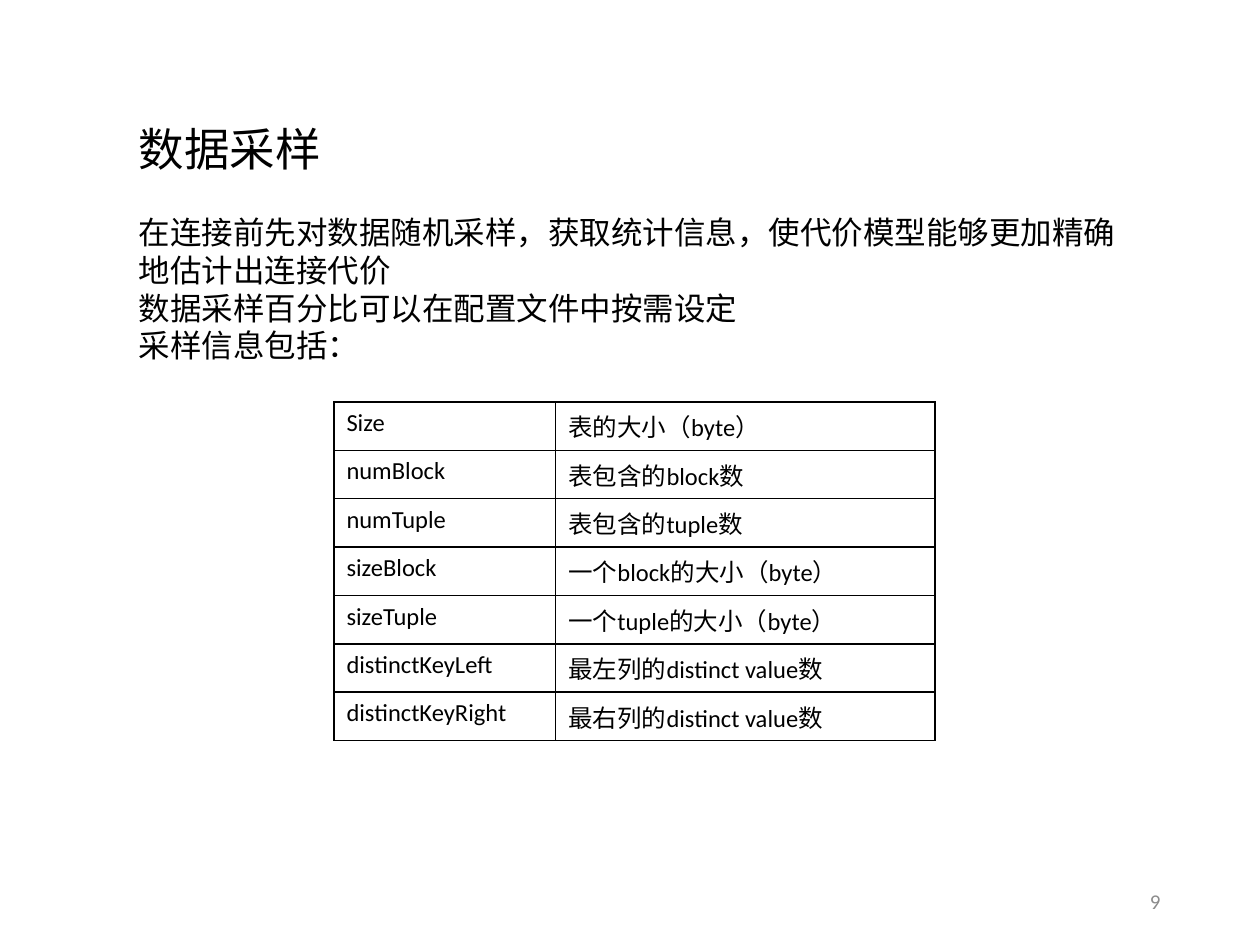
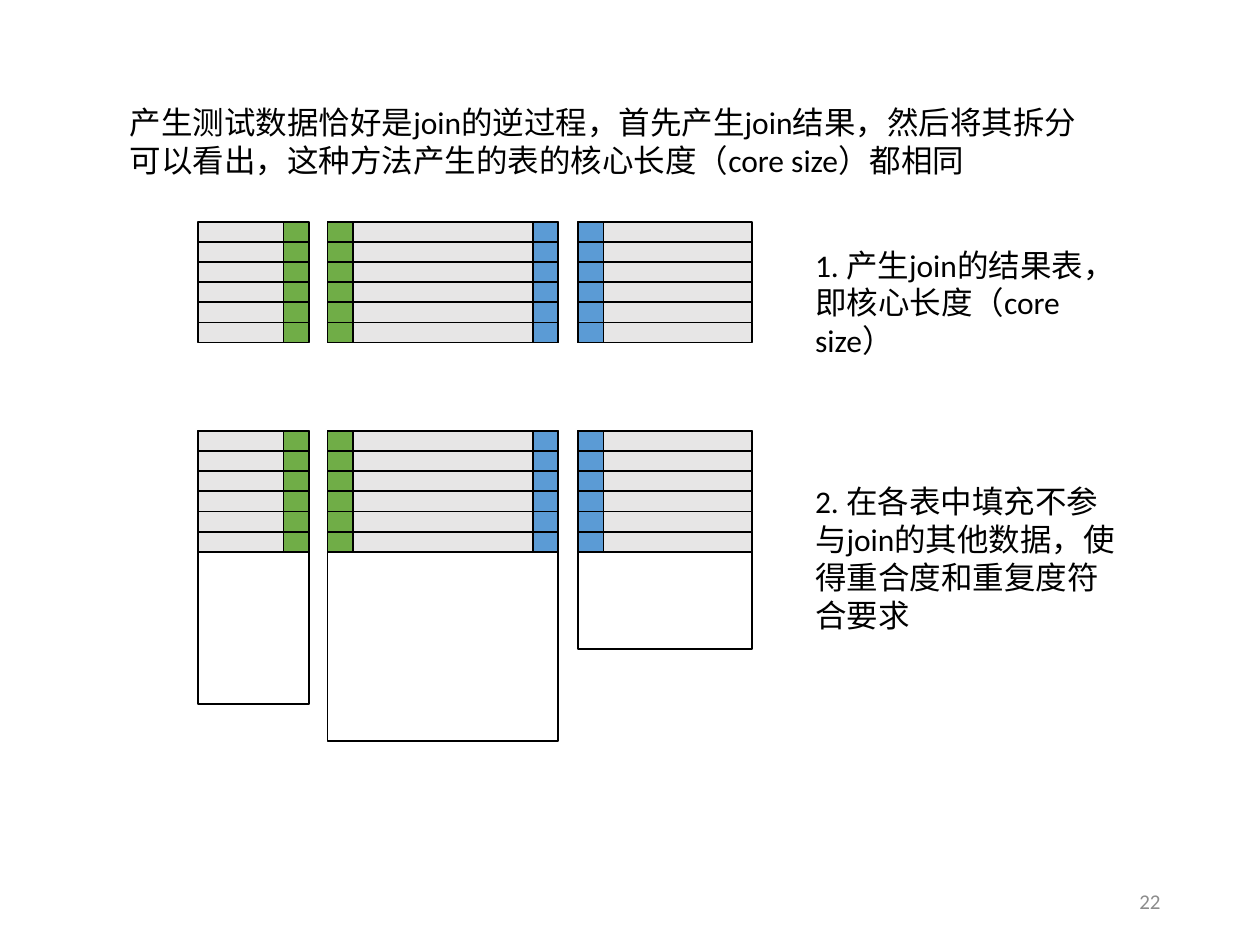
from dataclasses import dataclass
from typing import NamedTuple, Optional

from lxml.etree import SubElement
from pptx import Presentation
from pptx.dml.color import RGBColor as RGB
from pptx.enum.shapes import MSO_SHAPE as Shape
from pptx.enum.text import MSO_ANCHOR as Anchor, MSO_AUTO_SIZE as Fit, PP_ALIGN as Align
from pptx.oxml.ns import qn
from pptx.util import Inches, Pt

WIDE, HIGH = Inches(10), Inches(7.5)
COL, ROW = WIDE / 100, HIGH / 75


@dataclass(frozen=True)
class Theme:
    font: str = "Calibri"
    head: str = "Noto Sans CJK SC"
    ink: str = "000000"
    paper: str = "FFFFFF"
    data: str = "E7E6E6"
    green: str = "70AD47"
    blue: str = "5B9BD5"
    pale: str = "8C8C8C"
    title: int = 26
    body: int = 18
    cell: int = 14
    foot: int = 12
    line: int = 1


LOOK = Theme()


class Box(NamedTuple):
    """A frame in grid columns and rows."""
    x: float
    y: float
    w: float
    h: float

    def emu(self) -> tuple:
        return (round(self.x * COL), round(self.y * ROW),
                round(self.w * COL), round(self.h * ROW))


class Table(NamedTuple):
    """A joined table: its place, key colours and height with filler."""
    x: float
    w: float
    left: Optional[str]
    right: Optional[str]
    full: float


class Note(NamedTuple):
    box: Box
    text: str


FOOT = Box(70.6, 69.5, 22.5, 4)
KEY, STEP, COUNT = 2, 1.6, 6
TABLES = (
    Table(15.7, 8.8, None, LOOK.green, 21.7),
    Table(26, 18.3, LOOK.green, LOOK.blue, 24.6),
    Table(45.9, 13.8, LOOK.blue, None, 17.3),
)
NOTES = (
    Note(Box(63.7, 19, 26.1, 7.1), "1. 产生join的结果表，即核心长度（core size）"),
    Note(Box(63.7, 37.8, 26.1, 13.1),
         "2. 在各表中填充不参与join的其他数据，使得重合度和重复度符合要求"),
)
STATS = (
    ("Size", "表的大小（byte）"),
    ("numBlock", "表包含的block数"),
    ("numTuple", "表包含的tuple数"),
    ("sizeBlock", "一个block的大小（byte）"),
    ("sizeTuple", "一个tuple的大小（byte）"),
    ("distinctKeyLeft", "最左列的distinct value数"),
    ("distinctKeyRight", "最右列的distinct value数"),
)


def style(para, size: int, face: str = LOOK.font, tint: str = LOOK.ink,
          align=Align.LEFT) -> None:
    para.alignment = align
    para.font.size, para.font.name = Pt(size), face
    para.font.color.rgb = RGB.from_string(tint)


def write(shape, lines: tuple, size: int, anchor=Anchor.TOP, **look) -> None:
    frame = shape.text_frame
    frame.text = "\n".join(lines)
    frame.word_wrap, frame.auto_size = True, Fit.NONE
    frame.vertical_anchor = anchor
    for para in frame.paragraphs:
        style(para, size, **look)


def place(shape, box: Box) -> None:
    shape.left, shape.top, shape.width, shape.height = box.emu()


def fill_body(slide, box: Box, lines: tuple) -> None:
    """Fill the body placeholder with plain lines, without bullets."""
    body = slide.placeholders[1]
    place(body, box)
    write(body, lines, LOOK.body)
    for para in body.text_frame.paragraphs:
        para.space_before = Pt(0)
        props = para._p.get_or_add_pPr()
        props.set("marL", "0")
        props.set("indent", "0")
        props.insert_element_before(
            props.makeelement(qn("a:buNone")), "a:tabLst", "a:defRPr", "a:extLst")


def add_text(slide, box: Box, text: str, size: int, **look) -> None:
    write(slide.shapes.add_textbox(*box.emu()), (text,), size, **look)


def add_page(deck, number: int):
    slide = deck.slides.add_slide(deck.slide_layouts[1])
    add_text(slide, FOOT, str(number), LOOK.foot, anchor=Anchor.MIDDLE,
             tint=LOOK.pale, align=Align.RIGHT)
    return slide


def edge(cell) -> None:
    """Draw the four borders of a cell."""
    props = cell._tc.get_or_add_tcPr()
    for rank, side in enumerate(("lnL", "lnR", "lnT", "lnB")):
        line = props.makeelement(qn(f"a:{side}"), {"w": str(Pt(LOOK.line))})
        solid = SubElement(line, qn("a:solidFill"))
        SubElement(solid, qn("a:srgbClr"), val=LOOK.ink)
        props.insert(rank, line)


def add_stats(slide, box: Box, cols: tuple) -> None:
    grid = slide.shapes.add_table(len(STATS), len(cols), *box.emu()).table
    grid.first_row = grid.horz_banding = False
    for col, width in zip(grid.columns, cols):
        col.width = round(width * COL)
    for row, texts in zip(grid.rows, STATS):
        for cell, text in zip(row.cells, texts):
            cell.text = text
            cell.fill.background()
            style(cell.text_frame.paragraphs[0], LOOK.cell)
            edge(cell)


def add_rect(group, box: Box, tint: str) -> None:
    rect = group.shapes.add_shape(Shape.RECTANGLE, *box.emu())
    rect.shadow.inherit = False
    rect.fill.solid()
    rect.fill.fore_color.rgb = RGB.from_string(tint)
    rect.line.color.rgb = RGB.from_string(LOOK.ink)
    rect.line.width = Pt(LOOK.line)


def add_join(slide, top: float, padded: bool) -> None:
    """Draw the core rows of all tables, with filler below if padded."""
    group = slide.shapes.add_group_shape()
    for tab in TABLES:
        if padded:
            add_rect(group, Box(tab.x, top, tab.w, tab.full), LOOK.paper)
        for row in range(COUNT):
            y = top + row * STEP
            add_rect(group, Box(tab.x, y, tab.w, STEP), LOOK.data)
            for x, tint in ((tab.x, tab.left), (tab.x + tab.w - KEY, tab.right)):
                if tint:
                    add_rect(group, Box(x, y, KEY, STEP), tint)


def add_sample(deck) -> None:
    slide = add_page(deck, 9)
    title = slide.shapes.title
    place(title, Box(10, 9.1, 81.3, 5.5))
    write(title, ("数据采样",), LOOK.title, face=LOOK.head)
    fill_body(slide, Box(10, 16.4, 81.3, 13.2), (
        "在连接前先对数据随机采样，获取统计信息，使代价模型能够更加精确地估计出连接代价",
        "数据采样百分比可以在配置文件中按需设定",
        "采样信息包括：",
    ))
    add_stats(slide, Box(26.5, 31.9, 47.7, 24.6), (17.6, 30.1))


def add_tests(deck) -> None:
    slide = add_page(deck, 22)
    title = slide.shapes.title.element
    title.getparent().remove(title)
    fill_body(slide, Box(9.3, 7.7, 82.4, 7.1), (
        "产生测试数据恰好是join的逆过程，首先产生join结果，然后将其拆分",
        "可以看出，这种方法产生的表的核心长度（core size）都相同",
    ))
    add_join(slide, 17.6, padded=False)
    add_join(slide, 34.2, padded=True)
    for note in NOTES:
        add_text(slide, note.box, note.text, LOOK.body)


def main() -> None:
    deck = Presentation()
    deck.slide_width, deck.slide_height = WIDE, HIGH
    add_sample(deck)
    add_tests(deck)
    deck.save("out.pptx")


if __name__ == "__main__":
    main()
